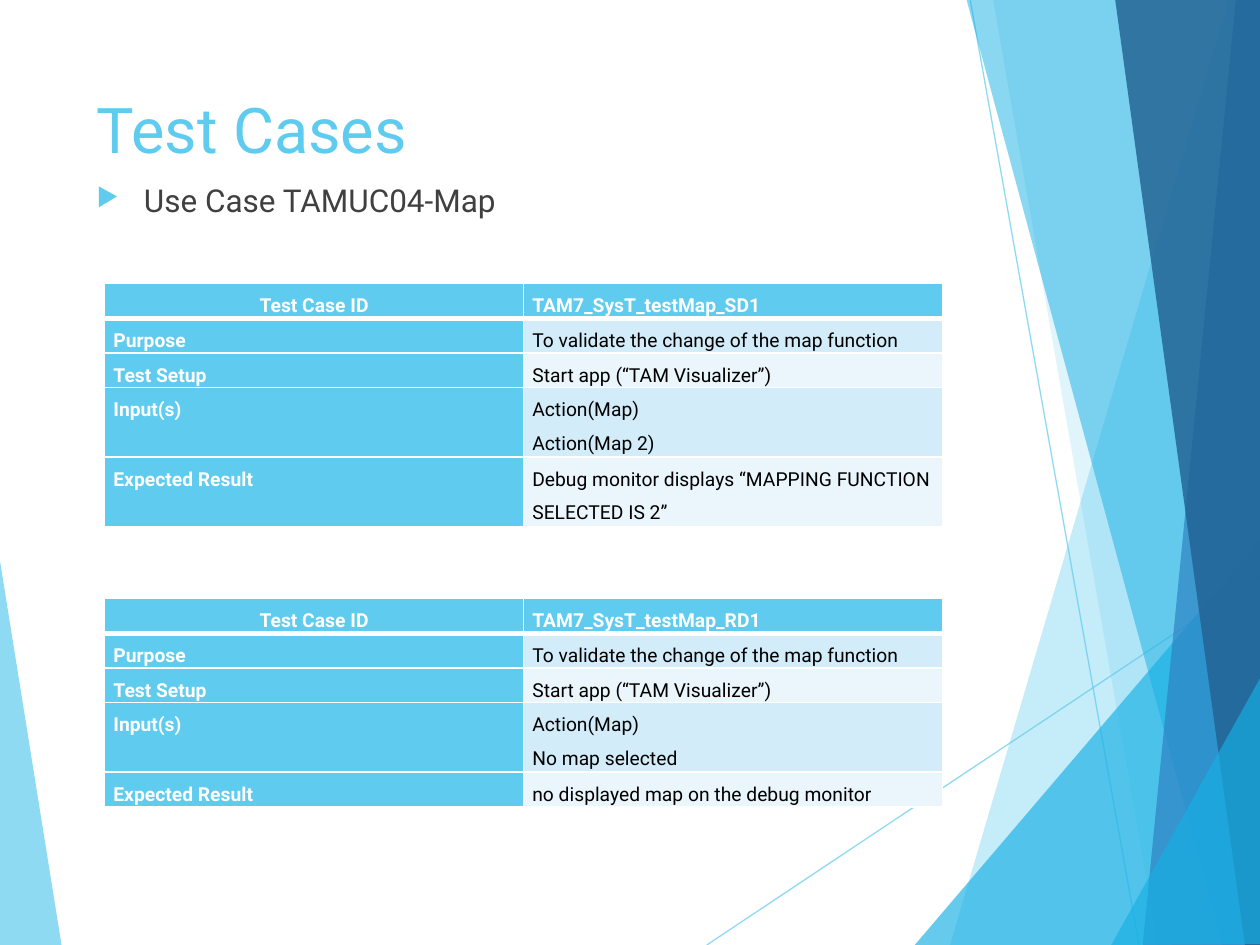
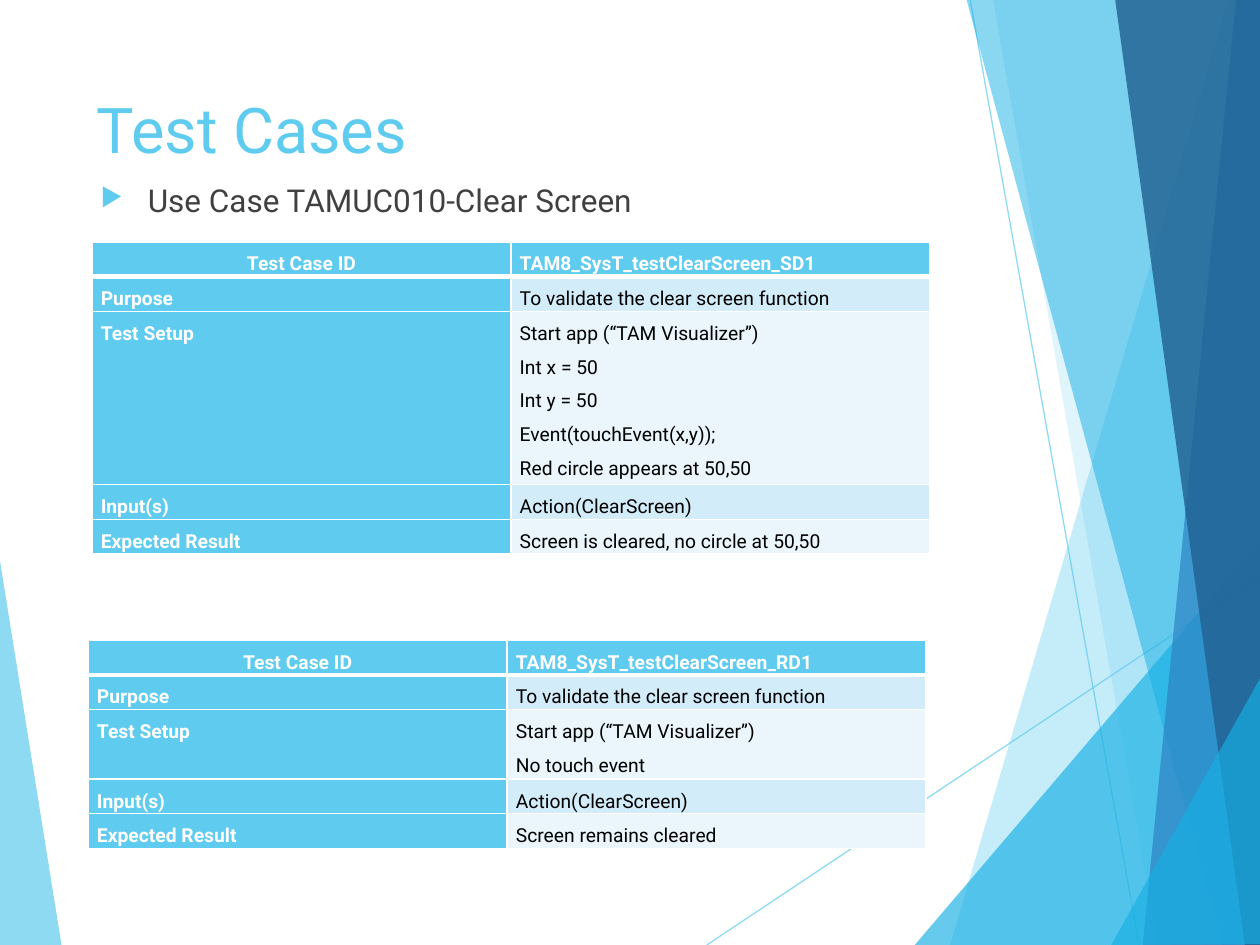
"""Build two slides of test case tables over a faceted blue background."""
from math import ceil

from lxml.etree import SubElement
from pptx import Presentation
from pptx.dml.color import RGBColor
from pptx.enum.shapes import MSO_CONNECTOR
from pptx.enum.text import PP_ALIGN
from pptx.oxml.ns import qn
from pptx.util import Pt

COLORS = {
    "sky": "5FCBEF", "cyan": "17B0E4", "blue": "2E83C3", "navy": "226292",
    "white": "FFFFFF", "black": "000000", "gray": "404040",
    "band_dark": "D2ECF9", "band_light": "EAF6FC",
}
FONT = "Roboto"
COLUMN_WIDTH = 239.4
LINE_HEIGHT = 19.25
CHARS_PER_LINE = 44
FIELDS = ["Test Case ID", "Purpose", "Test Setup", "Input(s)", "Expected Result"]
START_APP = "Start app (“TAM Visualizer”)"
MAP_PURPOSE = "To validate the change of the map function"
CLEAR_PURPOSE = "To validate the clear screen function"

LEFT_FACET = ("sky", 70, [(-0.7, 316), (35.3, 540.7), (-0.7, 540)])
RAYS = [((403.9, 540), (720.7, 329)), ((554.4, 0), (650.9, 540))]
RIGHT_FACETS = [
    ("sky", 36, [(702, 0), (542.9, 540), (721.4, 540.7), (720.7, 0.7)]),
    ("sky", 20, [(567.4, -0.7), (661.7, 540), (720.7, 540), (720.7, -0.7)]),
    ("cyan", 66, [(522.7, 540), (720, 308.9), (720.7, 540)]),
    ("cyan", 50, [(552.2, -0.7), (698.4, 540), (720.7, 539.3), (720.7, -0.7)]),
    ("blue", 70, [(706.3, -0.7), (653, 540), (720.7, 540), (720, -0.7)]),
    ("navy", 82, [(637.2, -0.7), (711.4, 540), (721.4, 540), (720, -0.7)]),
    ("cyan", 66, [(635, 540), (721.4, 385.2), (721.4, 539.3)]),
]

SLIDES = [
    ("Use Case TAMUC04-Map", 48.2, [
        (59.8, 162, ["TAM7_SysT_testMap_SD1", MAP_PURPOSE, START_APP,
                     "Action(Map)\nAction(Map 2)",
                     "Debug monitor displays “MAPPING FUNCTION SELECTED IS 2”"]),
        (59.8, 342, ["TAM7_SysT_testMap_RD1", MAP_PURPOSE, START_APP,
                     "Action(Map)\nNo map selected",
                     "no displayed map on the debug monitor"]),
    ]),
    ("Use Case TAMUC010-Clear Screen", 50.4, [
        (52.6, 138.2, ["TAM8_SysT_testClearScreen_SD1", CLEAR_PURPOSE,
                       f"{START_APP}\nInt x = 50\nInt y = 50\n"
                       "Event(touchEvent(x,y));\nRed circle appears at 50,50",
                       "Action(ClearScreen)",
                       "Screen is cleared, no circle at 50,50"]),
        (50.4, 365.8, ["TAM8_SysT_testClearScreen_RD1", CLEAR_PURPOSE,
                       f"{START_APP}\nNo touch event", "Action(ClearScreen)",
                       "Screen remains cleared"]),
    ]),
]


def rgb(name):
    return RGBColor.from_string(COLORS[name])


def set_opacity(shape, percent):
    for color in shape.element.iter(qn("a:srgbClr")):
        SubElement(color, qn("a:alpha"), val=str(percent * 1000))


def write(frame, text, size=11, color="black", bold=False, align=PP_ALIGN.LEFT, spacing=1.0):
    frame.word_wrap = True
    for index, line in enumerate(text.split("\n")):
        paragraph = frame.add_paragraph() if index else frame.paragraphs[0]
        paragraph.alignment = align
        paragraph.line_spacing = spacing
        run = paragraph.add_run()
        run.text = line
        run.font.name = FONT
        run.font.size = Pt(size)
        run.font.bold = bold
        run.font.color.rgb = rgb(color)


def set_border(cell, side, width):
    edge = SubElement(cell._tc.get_or_add_tcPr(), qn(f"a:ln{side}"), w=str(Pt(width)))
    fill = SubElement(edge, qn("a:solidFill"))
    SubElement(fill, qn("a:srgbClr"), val=COLORS["white"])


class Deck:
    """Presentation style together with the slide being filled."""

    def __init__(self):
        self.deck = Presentation()
        self.deck.slide_width, self.deck.slide_height = Pt(720), Pt(540)
        self.slide = None

    def new_slide(self):
        self.slide = self.deck.slides.add_slide(self.deck.slide_layouts[6])
        self.slide.background.fill.solid()
        self.slide.background.fill.fore_color.rgb = rgb("white")
        self.facet(*LEFT_FACET)
        for start, end in RAYS:
            self.ray(start, end)
        for facet in RIGHT_FACETS:
            self.facet(*facet)

    def facet(self, color, opacity, corners):
        points = [(Pt(x), Pt(y)) for x, y in corners]
        builder = self.slide.shapes.build_freeform(*points[0])
        builder.add_line_segments(points[1:], close=True)
        facet = builder.convert_to_shape()
        facet.shadow.inherit = False
        facet.fill.solid()
        facet.fill.fore_color.rgb = rgb(color)
        facet.line.fill.background()
        set_opacity(facet, opacity)

    def ray(self, start, end):
        ray = self.slide.shapes.add_connector(
            MSO_CONNECTOR.STRAIGHT, *(Pt(value) for value in start + end))
        ray.line.color.rgb = rgb("sky")
        ray.line.width = Pt(0.75)
        SubElement(ray.element.spPr, qn("a:effectLst"))
        set_opacity(ray, 70)

    def text(self, text, left, top, width, height, **style):
        box = self.slide.shapes.add_textbox(Pt(left), Pt(top), Pt(width), Pt(height))
        write(box.text_frame, text, **style)
        return box.text_frame

    def title(self, text):
        self.text(text, 48.2, 48.2, 499.7, 52, size=36, color="sky")

    def bullet(self, text, left):
        frame = self.text(text, left, 100.1, 499.7, 34, size=18, color="gray")
        paragraph = frame.paragraphs[0]
        paragraph.space_before = Pt(10)
        properties = paragraph._p.get_or_add_pPr()
        properties.set("marL", str(Pt(27)))
        properties.set("indent", str(-Pt(27)))
        marker_color = SubElement(properties, qn("a:buClr"))
        SubElement(marker_color, qn("a:srgbClr"), val=COLORS["sky"])
        SubElement(properties, qn("a:buSzPct"), val="80000")
        SubElement(properties, qn("a:buChar"), char="▶")

    def test_case(self, left, top, values):
        line_counts = [sum(ceil(len(line) / CHARS_PER_LINE) for line in value.split("\n"))
                       for value in values]
        table = self.slide.shapes.add_table(
            len(FIELDS), 2, Pt(left), Pt(top), Pt(2 * COLUMN_WIDTH),
            Pt(LINE_HEIGHT * sum(line_counts))).table
        for column in table.columns:
            column.width = Pt(COLUMN_WIDTH)
        for row, (field, value) in enumerate(zip(FIELDS, values)):
            table.rows[row].height = Pt(LINE_HEIGHT * line_counts[row])
            band = "band_dark" if row % 2 else "band_light"
            self.cell(table, row, 0, field, "sky")
            self.cell(table, row, 1, value, band if row else "sky")

    def cell(self, table, row, column, text, fill):
        cell = table.cell(row, column)
        cell.margin_left = cell.margin_right = Pt(5)
        cell.margin_top = cell.margin_bottom = 0
        widths = {"L": 1, "R": 1, "T": 3 if row == 1 else 1, "B": 3 if row == 0 else 1}
        for side, width in widths.items():
            set_border(cell, side, width)
        cell.fill.solid()
        cell.fill.fore_color.rgb = rgb(fill)
        heading = fill == "sky"
        write(cell.text_frame, text, spacing=1.5, bold=heading,
              color="white" if heading else "black",
              align=PP_ALIGN.CENTER if row == column == 0 else PP_ALIGN.LEFT)


def main():
    deck = Deck()
    for use_case, bullet_left, test_cases in SLIDES:
        deck.new_slide()
        deck.title("Test Cases")
        deck.bullet(use_case, bullet_left)
        for test_case in test_cases:
            deck.test_case(*test_case)
    deck.deck.save("out.pptx")


if __name__ == "__main__":
    main()
